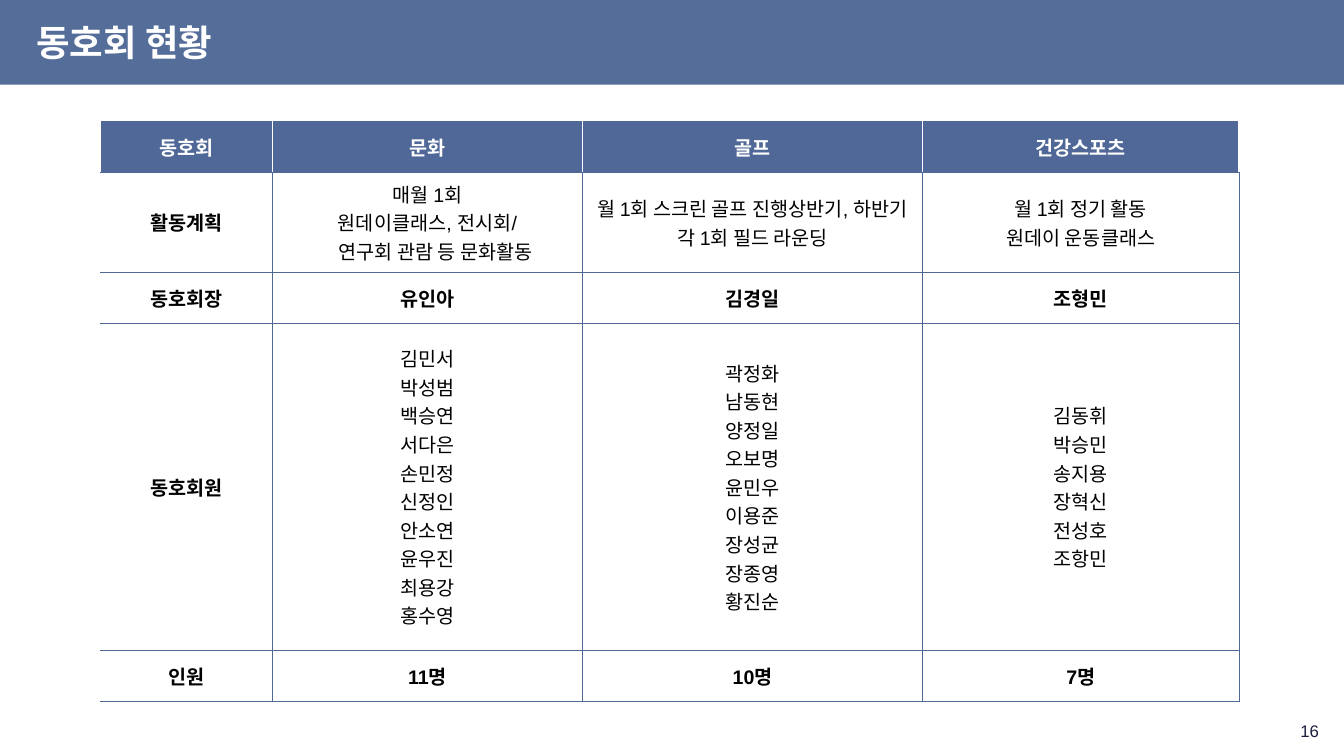
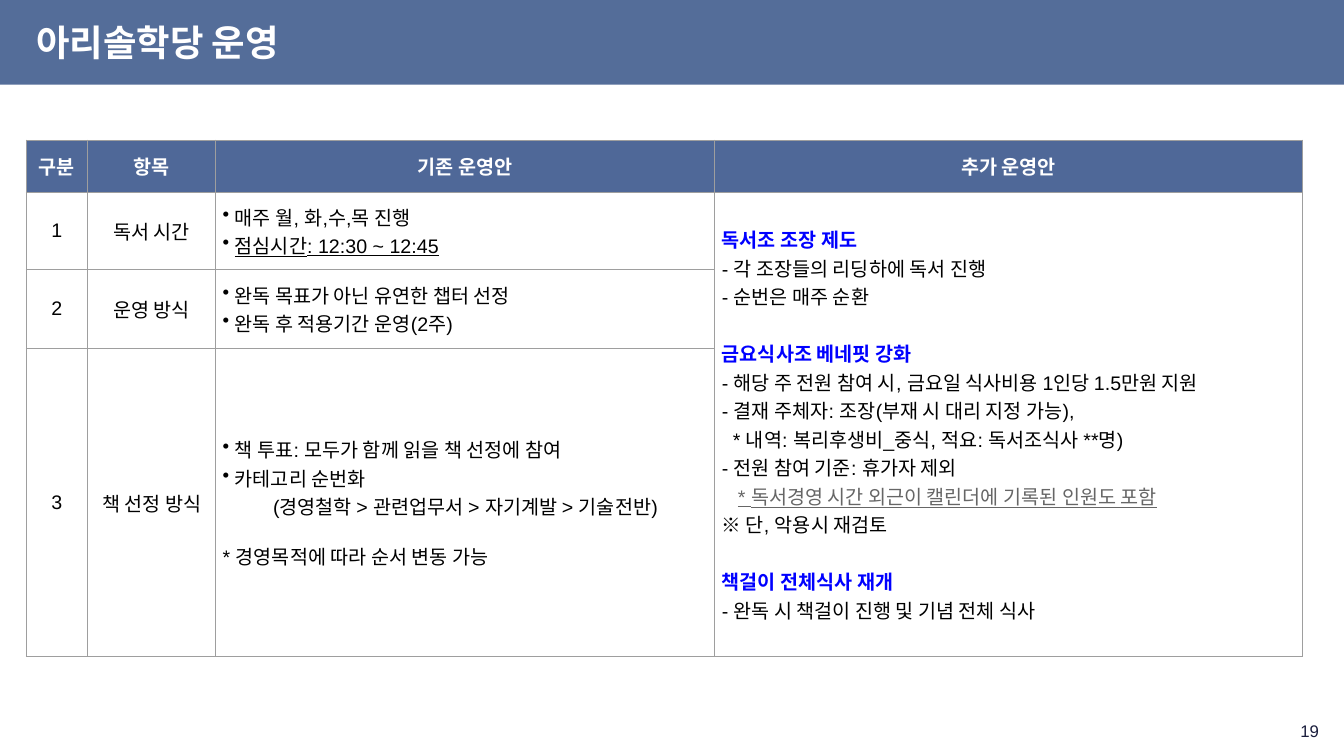
from lxml import etree
from pptx import Presentation
from pptx.dml.color import RGBColor
from pptx.enum.shapes import MSO_SHAPE
from pptx.enum.text import MSO_ANCHOR, PP_ALIGN
from pptx.oxml.ns import qn
from pptx.util import Emu, Inches, Pt

LEFT, CENTER, RIGHT = PP_ALIGN.LEFT, PP_ALIGN.CENTER, PP_ALIGN.RIGHT
MIDDLE = MSO_ANCHOR.MIDDLE
RECTANGLE = MSO_SHAPE.RECTANGLE

SLIDE_W, SLIDE_H = 13.33, 7.5
FONT = "Arial"
COLORS = {
    "band": "546D99",
    "header": "4F6898",
    "club_rule": "506898",
    "plan_rule": "9E9E9E",
    "white": "FFFFFF",
    "black": "000000",
    "heading": "0000FF",
    "note": "666666",
    "page": "1B1E3D",
}
BULLET_INDENT = 0.12
CELL_INSET = 0.07

BULLET = {"bullet": "•"}
HEADING = {"color": "heading", "bold": True}
NEXT_HEADING = {**HEADING, "before": 20}

CLUB_COLS = [1.7, 3.08, 3.37, 3.14]
CLUB_ROWS = [0.51, 0.99, 0.51, 3.24, 0.51]
CLUB_BOLD_ROWS = (0, 2, 4)
CLUBS = [
    ["동호회", "문화", "골프", "건강스포츠"],
    [
        "활동계획",
        ["매월 1회", "원데이클래스, 전시회/",
         ("연구회 관람 등 문화활동", {"margin": 0.16})],
        "월 1회 스크린 골프 진행상반기, 하반기 각 1회 필드 라운딩",
        ["월 1회 정기 활동", "원데이 운동클래스"],
    ],
    ["동호회장", "유인아", "김경일", "조형민"],
    [
        "동호회원",
        "김민서 박성범 백승연 서다은 손민정 신정인 안소연 윤우진 최용강 홍수영".split(),
        "곽정화 남동현 양정일 오보명 윤민우 이용준 장성균 장종영 황진순".split(),
        "김동휘 박승민 송지용 장혁신 전성호 조항민".split(),
    ],
    ["인원", "11명", "10명", "7명"],
]

PLAN_COLS = [0.61, 1.27, 4.95, 5.83]
PLAN_ROWS = [0.52, 0.76, 0.79, 3.05]
ADDED_PLAN = [
    ("독서조 조장 제도", HEADING),
    "- 각 조장들의 리딩하에 독서 진행",
    "- 순번은 매주 순환",
    ("금요식사조 베네핏 강화", NEXT_HEADING),
    "- 해당 주 전원 참여 시, 금요일 식사비용 1인당 1.5만원 지원",
    "- 결재 주체자: 조장(부재 시 대리 지정 가능),",
    ("* 내역: 복리후생비_중식, 적요: 독서조식사 **명)", {"margin": 0.11}),
    "- 전원 참여 기준: 휴가자 제외",
    ("* 독서경영 시간 외근이 캘린더에 기록된 인원도 포함",
     {"margin": 0.16, "color": "note", "underline": True}),
    "※ 단, 악용시 재검토",
    ("책걸이 전체식사 재개", NEXT_HEADING),
    "- 완독 시 책걸이 진행 및 기념 전체 식사",
]
PLAN = [
    ["구분", "항목", "기존 운영안", "추가 운영안"],
    [
        "1",
        "독서 시간",
        [("매주 월, 화,수,목 진행", BULLET),
         ("점심시간: 12:30 ~ 12:45", {**BULLET, "underline": True})],
        ADDED_PLAN,
    ],
    [
        "2",
        "운영 방식",
        [("완독 목표가 아닌 유연한 챕터 선정", BULLET),
         ("완독 후 적용기간 운영(2주)", BULLET)],
        None,
    ],
    [
        "3",
        "책 선정 방식",
        [("책 투표: 모두가 함께 읽을 책 선정에 참여", BULLET),
         ("카테고리 순번화", BULLET),
         ("(경영철학 > 관련업무서 > 자기계발 > 기술전반)", {"margin": 0.5}),
         ("* 경영목적에 따라 순서 변동 가능", {"before": 15})],
        None,
    ],
]


def rgb(name):
    """Return the named palette colour."""
    return RGBColor.from_string(COLORS[name])


def write_line(paragraph, text, size=14, color="black", bold=False, underline=False,
               align=LEFT, bullet=None, margin=0, before=0, spacing=None):
    """Write one formatted line into a paragraph."""
    properties = paragraph._p.get_or_add_pPr()
    if bullet:
        margin = BULLET_INDENT
        properties.set("indent", str(-Inches(margin)))
        etree.SubElement(properties, qn("a:buChar")).set("char", bullet)
    if margin:
        properties.set("marL", str(Inches(margin)))
    paragraph.alignment = align
    if before:
        paragraph.space_before = Pt(before)
    if spacing:
        paragraph.line_spacing = spacing
    run = paragraph.add_run()
    run.text = text
    font = run.font
    font.name, font.size = FONT, Pt(size)
    font.bold, font.underline = bold, underline
    font.color.rgb = rgb(color)


def write(frame, lines, **base):
    """Fill a text frame with lines that share a base format."""
    for index, line in enumerate([lines] if isinstance(lines, str) else lines):
        text, extra = (line, {}) if isinstance(line, str) else line
        paragraph = frame.add_paragraph() if index else frame.paragraphs[0]
        write_line(paragraph, text, **{**base, **extra})


def set_borders(cell, rule, **special):
    """Draw the four cell borders, with white lines on the special sides."""
    properties = cell._tc.get_or_add_tcPr()
    for side in "LRTB":
        color, width = ("white", 1) if side in special.get("white", "") else (rule, 0.75)
        line = etree.SubElement(properties, qn(f"a:ln{side}"), w=str(Pt(width)))
        fill = etree.SubElement(line, qn("a:solidFill"))
        etree.SubElement(fill, qn("a:srgbClr"), val=COLORS[color])


def add_grid(slide, left, top, cols, rows):
    """Add a plain table with the given column widths and row heights."""
    grid = slide.shapes.add_table(len(rows), len(cols), Inches(left), Inches(top),
                                  Inches(sum(cols)), Inches(sum(rows))).table
    grid.first_row = grid.horz_banding = False
    for column, width in zip(grid.columns, cols):
        column.width = Inches(width)
    for row, height in zip(grid.rows, rows):
        row.height = Inches(height)
    return grid


def fill_cell(cell, lines, rule, fill, white="", **text_format):
    """Give a cell its borders, fill and text."""
    set_borders(cell, rule, white=white)
    if fill:
        cell.fill.solid()
        cell.fill.fore_color.rgb = rgb(fill)
    else:
        cell.fill.background()
    cell.vertical_anchor = MIDDLE
    cell.margin_left = cell.margin_right = Inches(CELL_INSET)
    cell.margin_top = cell.margin_bottom = Inches(CELL_INSET)
    if lines:
        write(cell.text_frame, lines, **text_format)


def add_club_table(slide, left, top):
    """Place the table of clubs, leaders and members."""
    grid = add_grid(slide, left, top, CLUB_COLS, CLUB_ROWS)
    for r, row in enumerate(CLUBS):
        for c, lines in enumerate(row):
            header = r == 0
            fill_cell(grid.cell(r, c), lines, "club_rule",
                      "header" if header else None,
                      white="LR" if header else "L" if c == 0 else "",
                      color="white" if header else "black",
                      bold=r in CLUB_BOLD_ROWS or c == 0, align=CENTER)


def add_plan_table(slide, left, top):
    """Place the table of current and added reading rules."""
    grid = add_grid(slide, left, top, PLAN_COLS, PLAN_ROWS)
    for r, row in enumerate(PLAN):
        for c, lines in enumerate(row):
            header = r == 0
            fill_cell(grid.cell(r, c), lines, "plan_rule",
                      "header" if header else "white",
                      color="white" if header else "black", bold=header,
                      align=CENTER if header or c < 2 else LEFT)
    grid.cell(1, 3).merge(grid.cell(len(PLAN) - 1, 3))


def add_layout_band(slide):
    """Place the title band on the layout that the slides share."""
    band = slide.shapes.add_shape(RECTANGLE, Emu(0), Emu(0),
                                  Inches(SLIDE_W), Inches(0.84))
    band.shadow.inherit = False
    band.fill.solid()
    band.fill.fore_color.rgb = rgb("band")
    band.line.fill.background()
    slide.slide_layout.shapes.element.insert(2, band.element)


def add_slide(prs, title, page):
    """Add a slide with its title and page number."""
    slide = prs.slides.add_slide(prs.slide_layouts[5])
    heading = slide.shapes.title
    heading.left, heading.top = Inches(0.26), Inches(0.1)
    heading.width, heading.height = Inches(12.82), Inches(0.69)
    heading.text_frame.vertical_anchor = MIDDLE
    write(heading.text_frame, title, size=26, color="white", bold=True, spacing=0.9)
    number = slide.shapes.add_textbox(Inches(10.18), Inches(7.09),
                                      Inches(3), Inches(0.33)).text_frame
    number.word_wrap = True
    number.vertical_anchor = MIDDLE
    write(number, page, size=12, color="page", align=RIGHT)
    return slide


def main():
    """Build and save the deck."""
    prs = Presentation()
    prs.slide_width, prs.slide_height = Inches(SLIDE_W), Inches(SLIDE_H)
    clubs = add_slide(prs, "동호회 현황", "16")
    add_layout_band(clubs)
    add_club_table(clubs, 1, 1.2)
    plan = add_slide(prs, "아리솔학당 운영", "19")
    add_plan_table(plan, 0.26, 1.39)
    prs.save("out.pptx")


if __name__ == "__main__":
    main()
